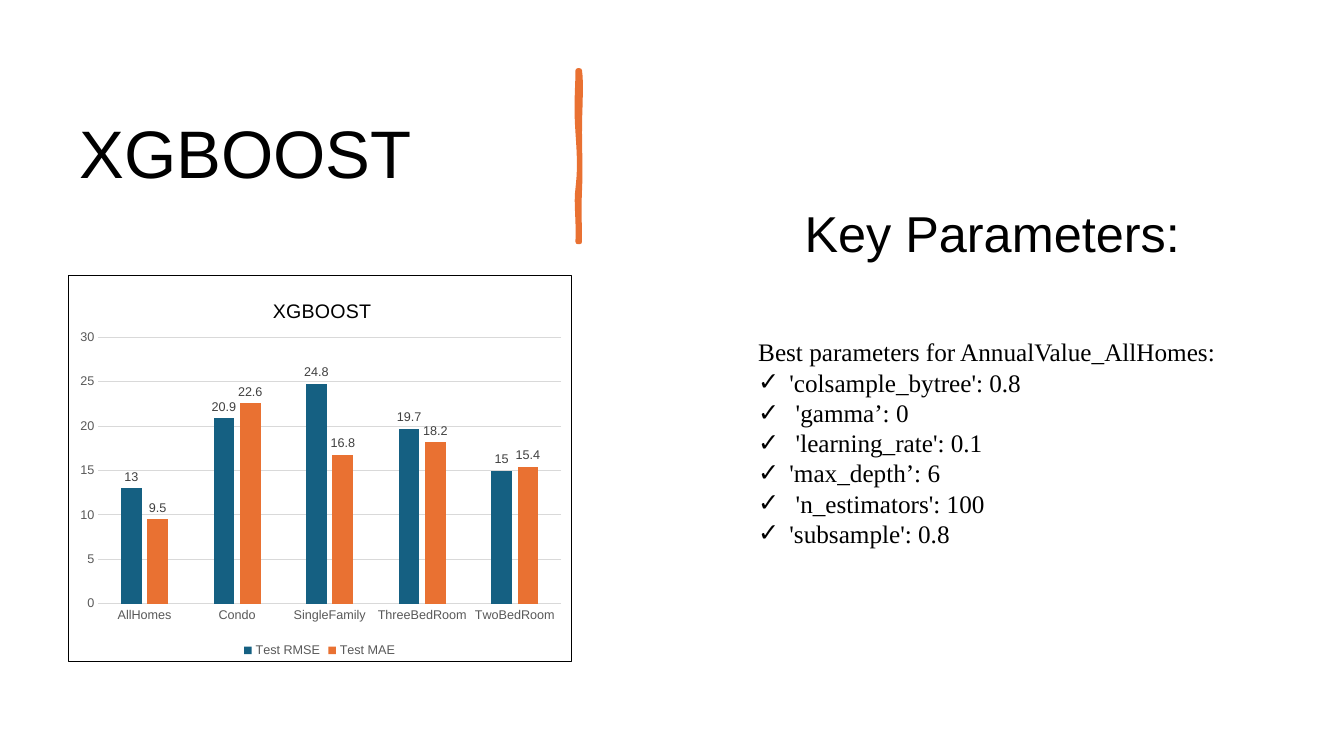
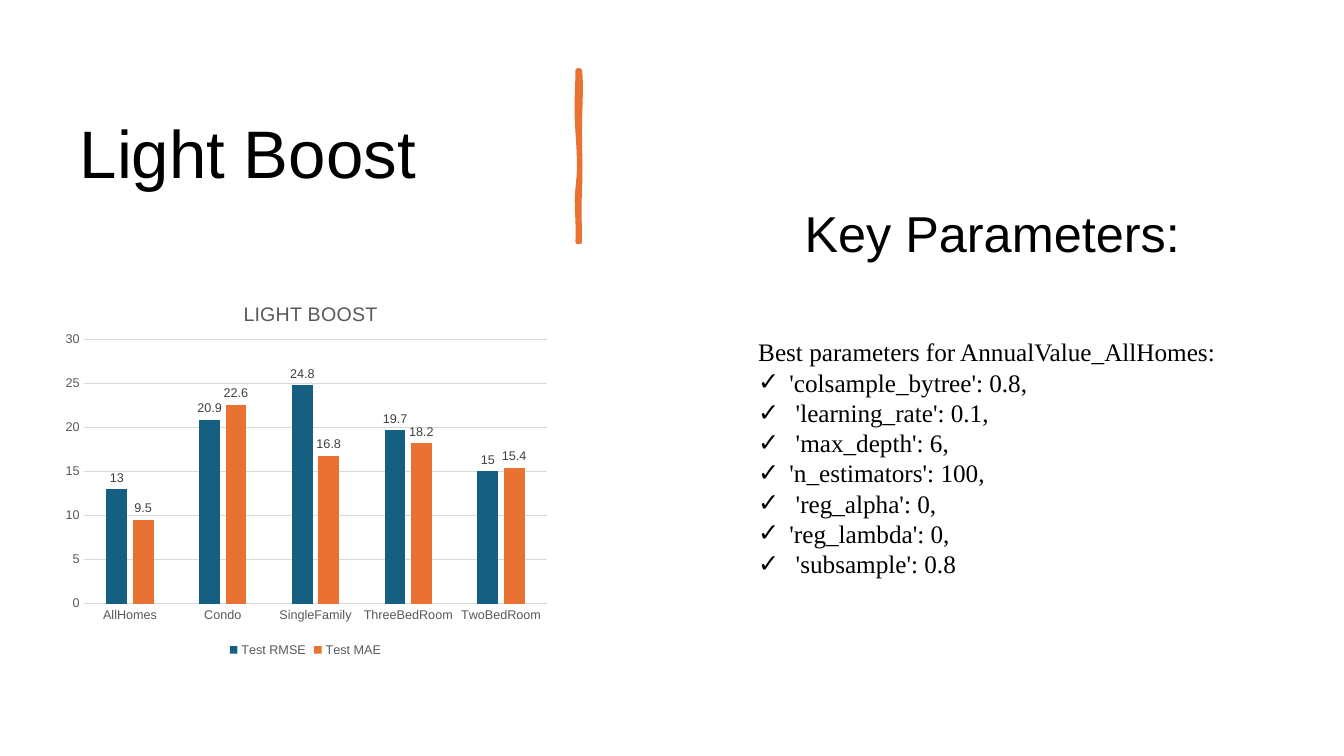
import pptx
import pptx.util
import pptx.dml.color
import pptx.chart.data
import pptx.enum.chart
import pptx.enum.text
import pptx.oxml
import pptx.oxml.ns

INK, GREY, LABEL, RULE = "000000", "595959", "404040", "D9D9D9"
BLUE, ORANGE, WHITE = "156082", "E97132", "FFFFFF"
SANS, SERIF = "Arial", "Times New Roman"
WIDE, HIGH = 13.33, 7.5
TITLE_BOX = (0.69, 0.5, 5.69, 2.11)
BRUSH_BOX = (5.73, 0.7, 0.02, 1.7)
HEAD_BOX = (7.98, 2, 4.72, 0.71)
LIST_BOX = (7.42, 3.29, 5.24, 0.12)
LINE_STEP = 0.3
BRUSH = [
    ((2, 0.08), (1, 0.22), (1, 0.36)), ((1, 0.49), (1.5, 0.56), (1, 0.7)),
    ((0.5, 0.84), (1, 0.88), (1, 1)), ((0.5, 1), (0.5, 1), (0, 1)),
    ((0.5, 0.86), (-1, 0.78), (0, 0.69)), ((1, 0.59), (1, 0.52), (0, 0.36)),
    ((-1, 0.19), (0, 0.11), (0, 0)),
]
HOMES = ["AllHomes", "Condo", "SingleFamily", "ThreeBedRoom", "TwoBedRoom"]
SCORES = [
    ("Test RMSE", BLUE, [13, 20.9, 24.8, 19.7, 15]),
    ("Test MAE", ORANGE, [9.5, 22.6, 16.8, 18.2, 15.4]),
]
SLIDES = [
    dict(name="XGBOOST",
         items=["'colsample_bytree': 0.8", " 'gamma’: 0", " 'learning_rate': 0.1",
                "'max_depth’: 6", " 'n_estimators': 100", "'subsample': 0.8"],
         chart=dict(box=(0.67, 2.73, 5, 3.84), head="XGBOOST", left=0.4,
                    ink=INK, framed=True)),
    dict(name="Light Boost",
         items=["'colsample_bytree': 0.8,", " 'learning_rate': 0.1,",
                " 'max_depth': 6,", "'n_estimators': 100,", " 'reg_alpha': 0,",
                "'reg_lambda': 0,", " 'subsample': 0.8"],
         chart=dict(box=(0.53, 2.76, 5, 3.8), head="LIGHT BOOST", left=0.37,
                    ink=GREY, framed=False)),
]


def paint(hue):
    """Return the colour for a hex string."""
    return pptx.dml.color.RGBColor.from_string(hue)


def fill(part, hue):
    """Give a fill one solid colour."""
    part.solid()
    part.fore_color.rgb = paint(hue)


def style(font, size, hue, face=SANS):
    """Set the size, colour and typeface of a font."""
    font.size = pptx.util.Pt(size)
    font.name = face
    font.color.rgb = paint(hue)


def write(para, text, size, hue=INK, face=SANS):
    """Add one styled run to a paragraph."""
    run = para.add_run()
    run.text = text
    style(run.font, size, hue, face)


def emus(box):
    """Turn a box in inches into slide units."""
    return [pptx.util.Inches(side) for side in box]


def place(shape, box):
    """Move a shape into a box."""
    shape.left, shape.top, shape.width, shape.height = emus(box)


def node(xml):
    """Make an XML element with the drawing namespaces."""
    names = pptx.oxml.ns.nsdecls("a", "c")
    tag, rest = xml[1:].split(">", 1)
    shut = "/" if tag.endswith("/") else ""
    return pptx.oxml.parse_xml(f"<{tag.rstrip('/')} {names}{shut}>{rest}")


def title(slide, text, box):
    """Fill the title placeholder."""
    shape = slide.shapes.title
    place(shape, box)
    frame = shape.text_frame
    frame.vertical_anchor = pptx.enum.text.MSO_ANCHOR.MIDDLE
    para = frame.paragraphs[0]
    para.alignment = pptx.enum.text.PP_ALIGN.LEFT
    para.line_spacing = 0.9
    write(para, text, 48)


def brush(slide, box):
    """Draw the upright brush stroke in a box."""
    left, top, wide, high = emus(box)
    spot = (1, 0)
    dots = []
    for one, two, end in BRUSH:
        for step in range(1, 9):
            t = step / 8
            u = 1 - t
            x, y = (u**3 * a + 3 * u * u * t * b + 3 * u * t * t * c + t**3 * d
                    for a, b, c, d in zip(spot, one, two, end))
            dots.append((left + x * wide, top + y * high))
        spot = end
    form = slide.shapes.build_freeform(left + wide, top)
    form.add_line_segments(dots, close=True)
    shape = form.convert_to_shape()
    shape.shadow.inherit = False
    fill(shape.fill, ORANGE)
    fill(shape.line.fill, ORANGE)
    shape.line.width = pptx.util.Pt(3.25)
    shape.line._get_or_add_ln().append(node("<a:round/>"))


def heading(slide, text, box):
    """Add the heading above the list."""
    frame = slide.shapes.add_textbox(*emus(box)).text_frame
    frame.word_wrap = True
    frame.margin_left = frame.margin_right = 0
    frame.margin_top = frame.margin_bottom = 0
    write(frame.paragraphs[0], text, 36)


def params(slide, lead, items, box):
    """Fill the body placeholder with a lead line and ticked items."""
    left, top, wide, pad = box
    shape = slide.placeholders[1]
    place(shape, (left, top, wide, pad + LINE_STEP * (len(items) + 1)))
    frame = shape.text_frame
    frame.auto_size = pptx.enum.text.MSO_AUTO_SIZE.NONE
    for i, text in enumerate([lead] + items):
        para = frame.add_paragraph() if i else frame.paragraphs[0]
        props = para._p.get_or_add_pPr()
        dent = pptx.util.Inches(0.31) if i else 0
        props.set("marL", str(dent))
        props.set("indent", str(-dent))
        if i:
            props.append(node(f'<a:buClr><a:srgbClr val="{INK}"/></a:buClr>'))
            props.append(node('<a:buChar char="✓"/>'))
        else:
            props.append(node("<a:buNone/>"))
        para.space_before = pptx.util.Pt(0)
        write(para, text, 18, face=SERIF)


def layout(part, index, mode="", **sides):
    """Pin a chart part to shares of the chart."""
    for old in part.findall(pptx.oxml.ns.qn("c:layout")):
        part.remove(old)
    tags = mode + '<c:xMode val="edge"/><c:yMode val="edge"/>'
    tags += "".join(f'<c:{key} val="{val}"/>' for key, val in sides.items())
    part.insert(index, node(
        f"<c:layout><c:manualLayout>{tags}</c:manualLayout></c:layout>"))


def axes(chart):
    """Style both axes and the grid."""
    for axis in (chart.category_axis, chart.value_axis):
        axis.major_tick_mark = pptx.enum.chart.XL_TICK_MARK.NONE
        axis.minor_tick_mark = pptx.enum.chart.XL_TICK_MARK.NONE
        style(axis.tick_labels.font, 9, GREY)
    value = chart.value_axis
    value.minimum_scale, value.maximum_scale, value.major_unit = 0, 30, 5
    value.format.line.fill.background()
    for line in (chart.category_axis.format.line,
                 value.major_gridlines.format.line):
        fill(line.fill, RULE)
        line.width = pptx.util.Pt(0.75)


def bars(chart):
    """Style the columns and their labels."""
    plot = chart.plots[0]
    plot.gap_width, plot.overlap = 219, -27
    plot.vary_by_categories = False
    for series, (_, hue, _) in zip(plot.series, SCORES):
        fill(series.format.fill, hue)
        series.invert_if_negative = False
        labels = series.data_labels
        labels.show_value = True
        labels.position = pptx.enum.chart.XL_LABEL_POSITION.OUTSIDE_END
        style(labels.font, 9, LABEL)


def scores(slide, box, head, left, ink, framed):
    """Add the column chart of test errors."""
    data = pptx.chart.data.CategoryChartData()
    data.categories = HOMES
    for name, _, vals in SCORES:
        data.add_series(name, vals)
    kind = pptx.enum.chart.XL_CHART_TYPE.COLUMN_CLUSTERED
    chart = slide.shapes.add_chart(kind, *emus(box), data).chart
    style(chart.font, 10, INK)
    chart.has_title = True
    write(chart.chart_title.text_frame.paragraphs[0], head, 14, ink)
    chart.chart_title.text_frame.paragraphs[0].runs[0].font.bold = False
    chart.has_legend = True
    chart.legend.position = pptx.enum.chart.XL_LEGEND_POSITION.BOTTOM
    chart.legend.include_in_layout = False
    style(chart.legend.font, 9, GREY)
    axes(chart)
    bars(chart)
    root = chart._chartSpace.chart
    layout(chart.chart_title._element, 1, x=left, y=0.05)
    layout(root.plotArea, 0, '<c:layoutTarget val="inner"/>',
           x=0.06, y=0.16, w=0.92, h=0.69)
    solid = '<a:solidFill><a:srgbClr val="{}"/></a:solidFill>'
    back, edge = "<a:noFill/>", "<a:noFill/>"
    if framed:
        back, edge = solid.format(WHITE), solid.format(INK)
    root.addnext(node(f'<c:spPr>{back}<a:ln w="9525">{edge}</a:ln></c:spPr>'))


def model(deck, name, items, chart):
    """Build one slide about a model."""
    slide = deck.slides.add_slide(deck.slide_layouts[1])
    fill(slide.background.fill, WHITE)
    title(slide, name, TITLE_BOX)
    brush(slide, BRUSH_BOX)
    params(slide, "Best parameters for AnnualValue_AllHomes:", items, LIST_BOX)
    heading(slide, "Key Parameters:", HEAD_BOX)
    scores(slide, **chart)


def main():
    """Build and save the deck."""
    deck = pptx.Presentation()
    deck.slide_width = pptx.util.Inches(WIDE)
    deck.slide_height = pptx.util.Inches(HIGH)
    for parts in SLIDES:
        model(deck, **parts)
    deck.save("out.pptx")


if __name__ == "__main__":
    main()
